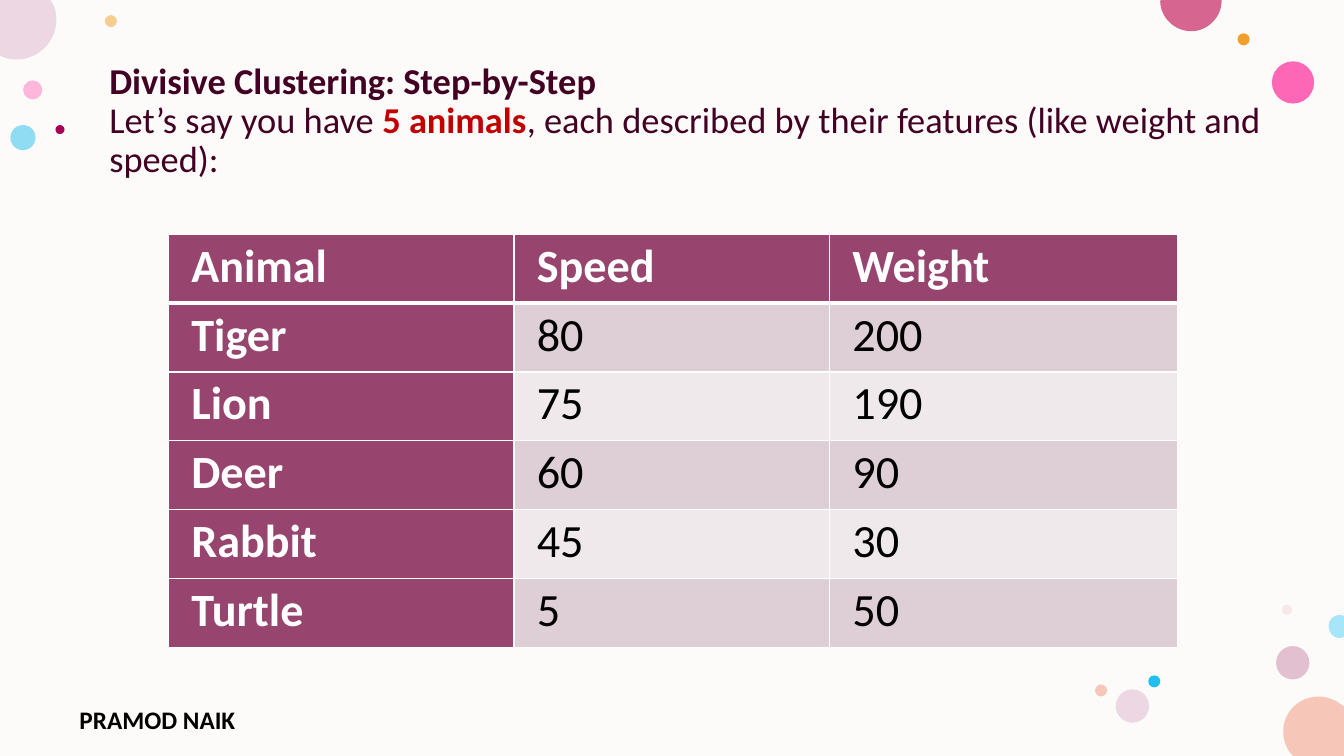
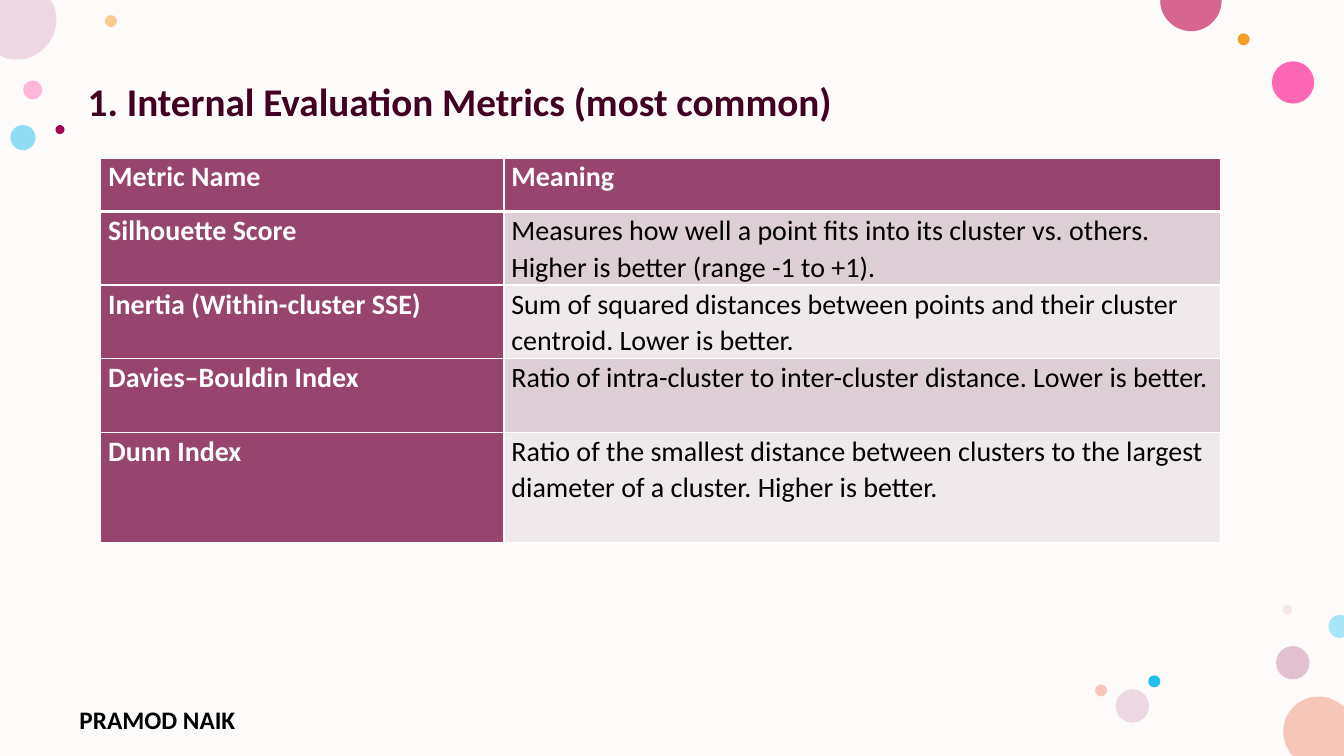
import pptx
import pptx.dml.color
import pptx.enum.shapes
import pptx.oxml.ns
import pptx.util
from lxml import etree

Pt = pptx.util.Pt
qn = pptx.oxml.ns.qn
PRESET = pptx.enum.shapes.MSO_SHAPE
WIDTH, HEIGHT = 960, 540

# Shared look
FONT = "Calibri"
PAPER, PLUM, RED = "FDFBF9", "420023", "C00000"
BLACK, WHITE = "000000", "FFFFFF"
HEADER, BANDS = "97446E", ("DDCFD5", "EFE9EB")

# Whole dots: left, top, diameter, colour, opacity in percent
DOTS = [
    (16.5, 57.4, 13.7, "FF75BD", 50),
    (74.9, 10.8, 8.6, "F39E29", 50),
    (911.5, 461.5, 23.8, "C987A8", 50),
    (7.4, 89.3, 18, "24BEEE", 50),
    (908.5, 43.8, 30.2, "FF2F9C", 72),
    (884, 23.8, 8.6, "F39E29", 100),
    (915.8, 432, 7.2, "E3BEBE", 28),
    (820.2, 482.4, 8.6, "24BEEE", 100),
    (797, 492.4, 23.8, "EDD7E2", 100),
    (782.2, 488.9, 8.6, "F6C7B9", 100),
    (39.6, 89.3, 6.5, "A40056", 100),
]

# Dots cut by the slide edge: colour, start, then lines (x, y) and
# curves (two control points and an end point)
CUT_DOTS = [
    ("F6C7B9", (941.8, 497.5), [
        (949, 497.5, 954.7, 500.4, 960, 504.7), (960, 540), (923.8, 540), (922.3, 538.6),
        (918.7, 534.2, 916.6, 528.5, 916.6, 522.7),
        (916.6, 508.3, 928.1, 497.5, 941.8, 497.5)]),
    ("EDD7E2", (0, 0), [
        (36, 0), (38.2, 3.6), (39.6, 6.5, 40.3, 10.1, 40.3, 14.4),
        (40.3, 29.5, 27.4, 42.5, 12.2, 42.5),
        (7.9, 42.5, 4.3, 41.8, 1.4, 40.3), (0, 39.6)]),
    ("D6658F", (829.4, 0), [
        (872.6, 0), (872.6, 0.7), (872.6, 12.2, 862.6, 22.3, 851, 22.3),
        (838.8, 22.3, 828.7, 12.2, 828.7, 0.7)]),
    ("A7E5F8", (956.9, 439.2), [
        (960, 439.9), (960, 455), (956.9, 455.8),
        (952.6, 455.8, 949, 452.2, 949, 447.1),
        (949, 442.8, 952.6, 439.2, 956.9, 439.2)]),
]

# Titles are paragraphs of (text, bold, colour) runs
SLIDES = [
    {
        "title": [
            [("Divisive Clustering: Step-by-Step", True, PLUM)],
            [("Let’s say you have ", False, PLUM), ("5 animals", True, RED),
             (", each described by their features (like weight and speed):", False, PLUM)],
        ],
        "title_place": (71, 41.2, 839.5, 94), "title_size": 26,
        "table_place": (120.3, 167.5), "table_size": 33, "inset": 16.4,
        "columns": [246.8, 225.4, 248.6], "heights": [49.15] * 6,
        "rows": [
            ("Animal", "Speed", "Weight"),
            ("Tiger", "80", "200"),
            ("Lion", "75", "190"),
            ("Deer", "60", "90"),
            ("Rabbit", "45", "30"),
            ("Turtle", "5", "50"),
        ],
    },
    {
        "title": [[("1. Internal Evaluation Metrics (most common)", True, PLUM)]],
        "title_place": (55.6, 55.4, 858, 40), "title_size": 28,
        "table_place": (72, 112.8), "table_size": 20, "inset": 5.3,
        "columns": [288, 512], "heights": [38.2, 52.6, 52.6, 52.6, 79.2],
        "rows": [
            ("Metric Name", "Meaning"),
            ("Silhouette Score",
             "Measures how well a point fits into its cluster vs. others. "
             "Higher is better (range -1 to +1)."),
            ("Inertia (Within-cluster SSE)",
             "Sum of squared distances between points and their cluster centroid. "
             "Lower is better."),
            ("Davies–Bouldin Index",
             "Ratio of intra-cluster to inter-cluster distance. Lower is better."),
            ("Dunn Index",
             "Ratio of the smallest distance between clusters to the largest "
             "diameter of a cluster. Higher is better."),
        ],
    },
]


def color(code):
    return pptx.dml.color.RGBColor.from_string(code)


def add_text(page, place, paragraphs, size, spacing):
    box = page.shapes.add_textbox(*[Pt(value) for value in place])
    frame = box.text_frame
    frame.word_wrap = True
    for index, spans in enumerate(paragraphs):
        para = frame.add_paragraph() if index else frame.paragraphs[0]
        para.line_spacing = spacing
        for text, bold, code in spans:
            span = para.add_run()
            span.text = text
            span.font.name, span.font.size, span.font.bold = FONT, Pt(size), bold
            span.font.color.rgb = color(code)


deck = pptx.Presentation()
deck.slide_width, deck.slide_height = Pt(WIDTH), Pt(HEIGHT)

for content in SLIDES:
    page = deck.slides.add_slide(deck.slide_layouts[6])

    # Paper and whole dots
    paper = page.shapes.add_shape(PRESET.RECTANGLE, 0, 0, Pt(WIDTH), Pt(HEIGHT))
    decor = [(paper, PAPER, 100)]
    for left, top, size, code, opacity in DOTS:
        dot = page.shapes.add_shape(PRESET.OVAL, Pt(left), Pt(top), Pt(size), Pt(size))
        decor.append((dot, code, opacity))

    # Cut dots: straight outline first, then its arcs become curves
    for code, start, segments in CUT_DOTS:
        builder = page.shapes.build_freeform(Pt(start[0]), Pt(start[1]))
        builder.add_line_segments([(Pt(s[-2]), Pt(s[-1])) for s in segments], close=True)
        dot = builder.convert_to_shape()
        lines = list(dot._element.spPr.iter(qn("a:lnTo")))
        for line, segment in zip(lines, segments):
            if len(segment) == 6:
                outline = line.getparent()
                curve = etree.SubElement(outline, qn("a:cubicBezTo"))
                for x, y in (segment[:2], segment[2:4], segment[4:]):
                    etree.SubElement(curve, qn("a:pt"), x=str(Pt(x) - dot.left),
                                     y=str(Pt(y) - dot.top))
                outline.replace(line, curve)
        decor.append((dot, code, 100))

    for shape, code, opacity in decor:
        shape.shadow.inherit = False
        shape.line.fill.background()
        shape.fill.solid()
        shape.fill.fore_color.rgb = color(code)
        if opacity < 100:
            tint = shape._element.spPr.find(".//" + qn("a:srgbClr"))
            etree.SubElement(tint, qn("a:alpha"), val=str(opacity * 1000))

    # Footer and title
    add_text(page, (49.7, 499.7, 176.4, 23), [[("PRAMOD NAIK", True, BLACK)]], 18, 1.0)
    add_text(page, content["title_place"], content["title"], content["title_size"], 0.9)

    # Table
    rows, columns, heights = content["rows"], content["columns"], content["heights"]
    left, top = content["table_place"]
    table = page.shapes.add_table(
        len(rows), len(columns), Pt(left), Pt(top),
        Pt(sum(columns)), Pt(sum(heights))).table
    table.first_col = True
    for column, width in zip(table.columns, columns):
        column.width = Pt(width)
    for row_index, (row, height) in enumerate(zip(table.rows, heights)):
        row.height = Pt(height)
        for column_index, cell in enumerate(row.cells):
            heading = row_index == 0 or column_index == 0
            cell.margin_left = cell.margin_right = Pt(content["inset"])
            cell.margin_top = cell.margin_bottom = 0

            # White borders, thicker below the header row
            borders = {"lnL": 1, "lnR": 1, "lnT": 3 if row_index == 1 else 1,
                       "lnB": 3 if row_index == 0 else 1}
            for side, weight in borders.items():
                border = etree.SubElement(
                    cell._tc.get_or_add_tcPr(), qn("a:" + side), w=str(Pt(weight)))
                paint = etree.SubElement(border, qn("a:solidFill"))
                etree.SubElement(paint, qn("a:srgbClr"), val=WHITE)
            cell.fill.solid()
            cell.fill.fore_color.rgb = color(HEADER if heading else BANDS[(row_index - 1) % 2])

            cell.text_frame.text = rows[row_index][column_index]
            para = cell.text_frame.paragraphs[0]
            para.line_spacing, para.space_after = 1.07, Pt(8)
            font = para.runs[0].font
            font.name, font.size, font.bold = FONT, Pt(content["table_size"]), heading
            font.color.rgb = color(WHITE if heading else BLACK)

deck.save("out.pptx")
